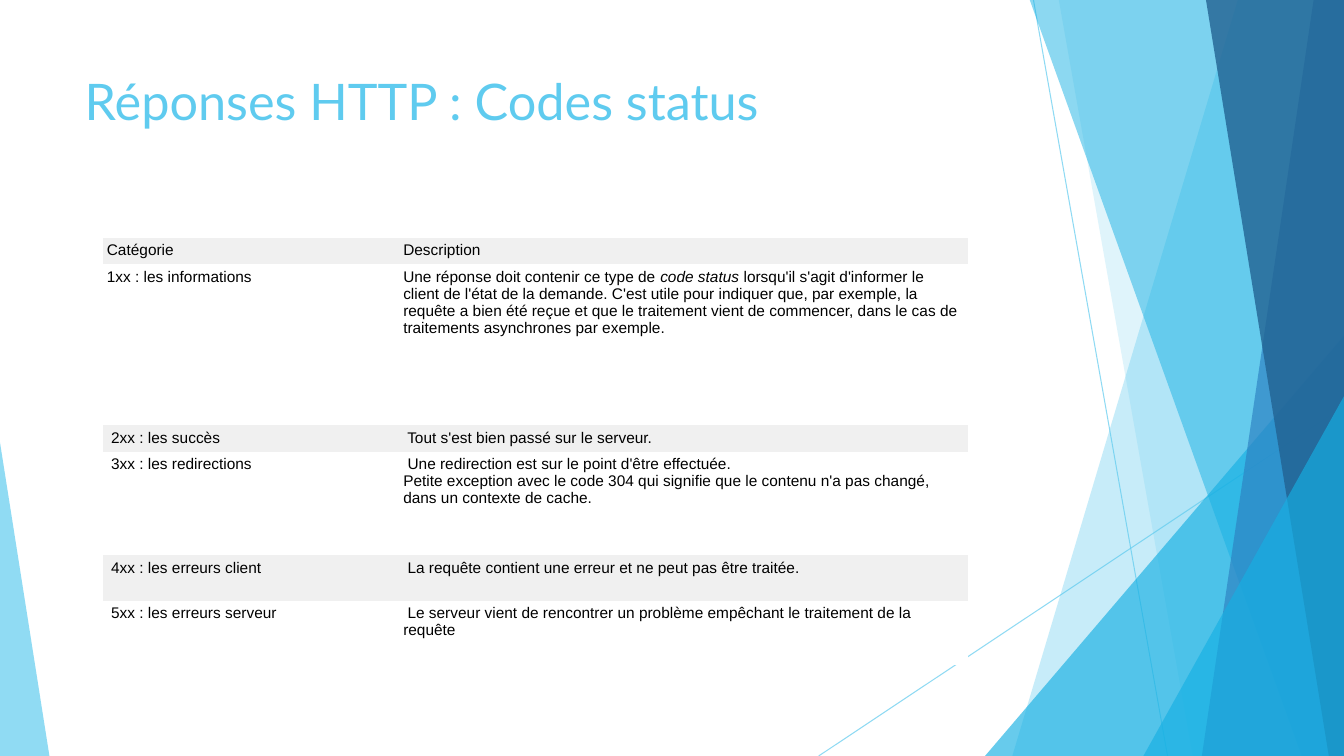
from lxml.etree import SubElement
from pptx import Presentation
from pptx.dml.color import RGBColor
from pptx.enum.shapes import MSO_CONNECTOR, MSO_SHAPE
from pptx.enum.text import MSO_ANCHOR, MSO_AUTO_SIZE, PP_ALIGN
from pptx.oxml.ns import qn
from pptx.util import Inches, Pt

SKY, CYAN, BLUE, NAVY = "5FCBEF", "16B0E3", "2E83C3", "226292"
GREY, WHITE, BLACK = "F0F0F0", "FFFFFF", "000000"
NO_STYLE = "{2D5ABB26-0587-4C30-8999-92F81FD0307C}"
TOP, RIGHT, BOTTOM = -0.01, 13.33, 7.5

RAYS = [((10.25, 0), (11.58, 7.5)), ((13.33, 4.03), (8.12, 7.5))]
BACK_BANDS = [(12.28, 10.04, SKY, 35), (10.5, 11.83, SKY, 20)]
FRONT_BANDS = [(10.21, 12.91, CYAN, 49), (13.03, 11.92, BLUE, 69),
               (11.96, 13.18, NAVY, 80)]

COLUMN_WIDTHS = [2.94, 5.64]
ROWS = [
    (0.26, "Catégorie", "Description"),
    (1.6, "1xx : les informations",
     "Une réponse doit contenir ce type de *code status* lorsqu'il s'agit "
     "d'informer le client de l'état de la demande. C'est utile pour indiquer "
     "que, par exemple, la requête a bien été reçue et que le traitement vient "
     "de commencer, dans le cas de traitements asynchrones par exemple."),
    (0.26, " 2xx : les succès", " Tout s'est bien passé sur le serveur."),
    (1.03, " 3xx : les redirections",
     " Une redirection est sur le point d'être effectuée.\n"
     "Petite exception avec le code 304 qui signifie que le contenu n'a pas "
     "changé, dans un contexte de cache."),
    (0.45, " 4xx : les erreurs client",
     " La requête contient une erreur et ne peut pas être traitée."),
    (0.64, " 5xx : les erreurs serveur",
     " Le serveur vient de rencontrer un problème empêchant le traitement "
     "de la requête"),
]


def rgb(color):
    """Turn a hex string into a colour."""
    return RGBColor.from_string(color)


def set_alpha(fill_parent, percent):
    """Set the opacity of the solid fill below an element."""
    color = fill_parent.find(qn("a:solidFill")).find(qn("a:srgbClr"))
    SubElement(color, qn("a:alpha")).set("val", str(percent * 1000))


def paint(sp, color, percent):
    """Fill a shape with a translucent colour and no outline."""
    sp.shadow.inherit = False
    sp.fill.solid()
    sp.fill.fore_color.rgb = rgb(color)
    set_alpha(sp.element.spPr, percent)
    sp.line.fill.background()


def add_ray(s, start, end):
    """Draw a thin translucent line."""
    ends = [Inches(v) for v in (*start, *end)]
    line = s.shapes.add_connector(MSO_CONNECTOR.STRAIGHT, *ends)
    line.line.color.rgb = rgb(SKY)
    line.line.width = Pt(0.75)
    sp_pr = line.element.spPr
    set_alpha(sp_pr.find(qn("a:ln")), 69)
    SubElement(sp_pr, qn("a:effectLst"))


def add_band(s, top_x, bottom_x, color, percent):
    """Draw a slanted band that reaches the right edge of the slide."""
    corners = [(top_x, TOP), (RIGHT, TOP), (RIGHT, BOTTOM), (bottom_x, BOTTOM)]
    points = [(Inches(x), Inches(y)) for x, y in corners]
    builder = s.shapes.build_freeform(*points[0], scale=1.0)
    builder.add_line_segments(points[1:], close=True)
    paint(builder.convert_to_shape(), color, percent)


def add_triangle(s, left, top, width, apex, color, percent):
    """Draw a triangle that stands on the bottom edge of the slide."""
    sp = s.shapes.add_shape(MSO_SHAPE.ISOSCELES_TRIANGLE, Inches(left),
                            Inches(top), Inches(width), Inches(BOTTOM - top))
    sp.adjustments[0] = apex
    paint(sp, color, percent)


def format_run(r, font, size, color):
    """Set the font, size and colour of a run."""
    r.font.name = font
    r.font.size = Pt(size)
    r.font.color.rgb = rgb(color)


def set_title(s, text):
    """Place and format the title placeholder."""
    title = s.shapes.title
    title.left, title.top = Inches(0.74), Inches(0.65)
    title.width, title.height = Inches(9.4), Inches(1.44)
    tf = title.text_frame
    tf.text = text
    tf.auto_size = MSO_AUTO_SIZE.NONE
    tf.vertical_anchor = MSO_ANCHOR.TOP
    p = tf.paragraphs[0]
    p.alignment = PP_ALIGN.LEFT
    format_run(p.runs[0], "Lato", 36, SKY)


def fill_cell(cell, text, color):
    """Write a cell, with the text between asterisks in italics."""
    cell.fill.solid()
    cell.fill.fore_color.rgb = rgb(color)
    cell.margin_left = cell.margin_right = Inches(0.04)
    cell.margin_top = cell.margin_bottom = Inches(0.04)
    tf = cell.text_frame
    tf.text = text.replace("*", "")
    for p, line in zip(tf.paragraphs, text.split("\n")):
        p.clear()
        for i, part in enumerate(line.split("*")):
            r = p.add_run()
            r.text = part
            format_run(r, "Arial", 11, BLACK)
            r.font.italic = i % 2 == 1


def add_status_table(s):
    """Add the table of status code families."""
    frame = s.shapes.add_table(
        len(ROWS), len(COLUMN_WIDTHS), Inches(1.02), Inches(2.36),
        Inches(sum(COLUMN_WIDTHS)), Inches(sum(row[0] for row in ROWS)))
    frame.element.find(".//" + qn("a:tableStyleId")).text = NO_STYLE
    table = frame.table
    for column, width in zip(table.columns, COLUMN_WIDTHS):
        column.width = Inches(width)
    for i, (height, *texts) in enumerate(ROWS):
        table.rows[i].height = Inches(height)
        for j, text in enumerate(texts):
            fill_cell(table.cell(i, j), text, WHITE if i % 2 else GREY)


def main():
    """Build the slide and save it."""
    prs = Presentation()
    prs.slide_width, prs.slide_height = Inches(13.33), Inches(7.5)
    s = prs.slides.add_slide(prs.slide_layouts[5])
    for start, end in RAYS:
        add_ray(s, start, end)
    for band in BACK_BANDS:
        add_band(s, *band)
    add_triangle(s, 9.77, 3.33, 3.56, 1, CYAN, 65)
    for band in FRONT_BANDS:
        add_band(s, *band)
    add_triangle(s, 11.34, 3.93, 1.99, 1, CYAN, 65)
    add_triangle(s, 0, 4.39, 0.49, 0, SKY, 69)
    set_title(s, "Réponses HTTP : Codes status")
    add_status_table(s)
    prs.save("out.pptx")


if __name__ == "__main__":
    main()
